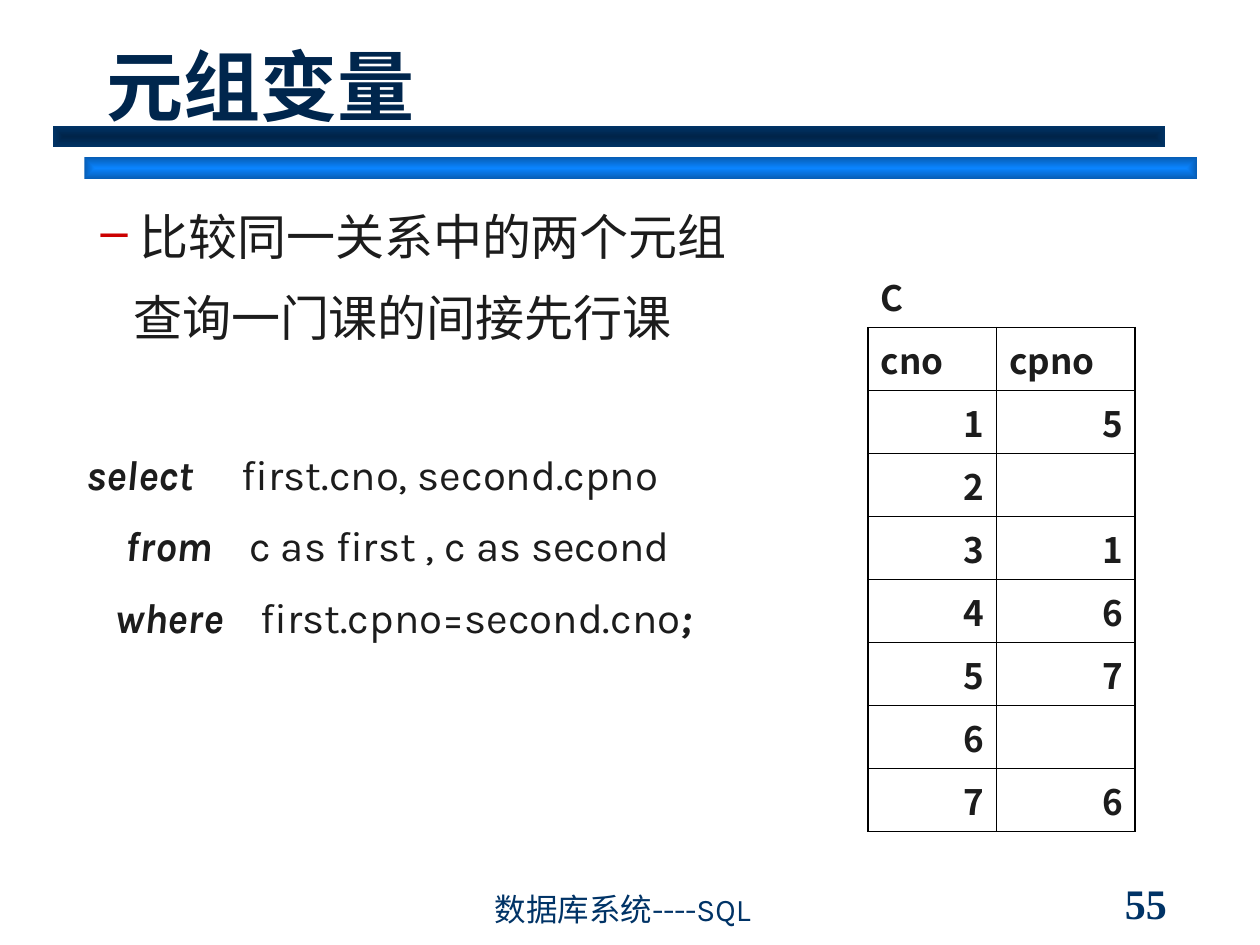
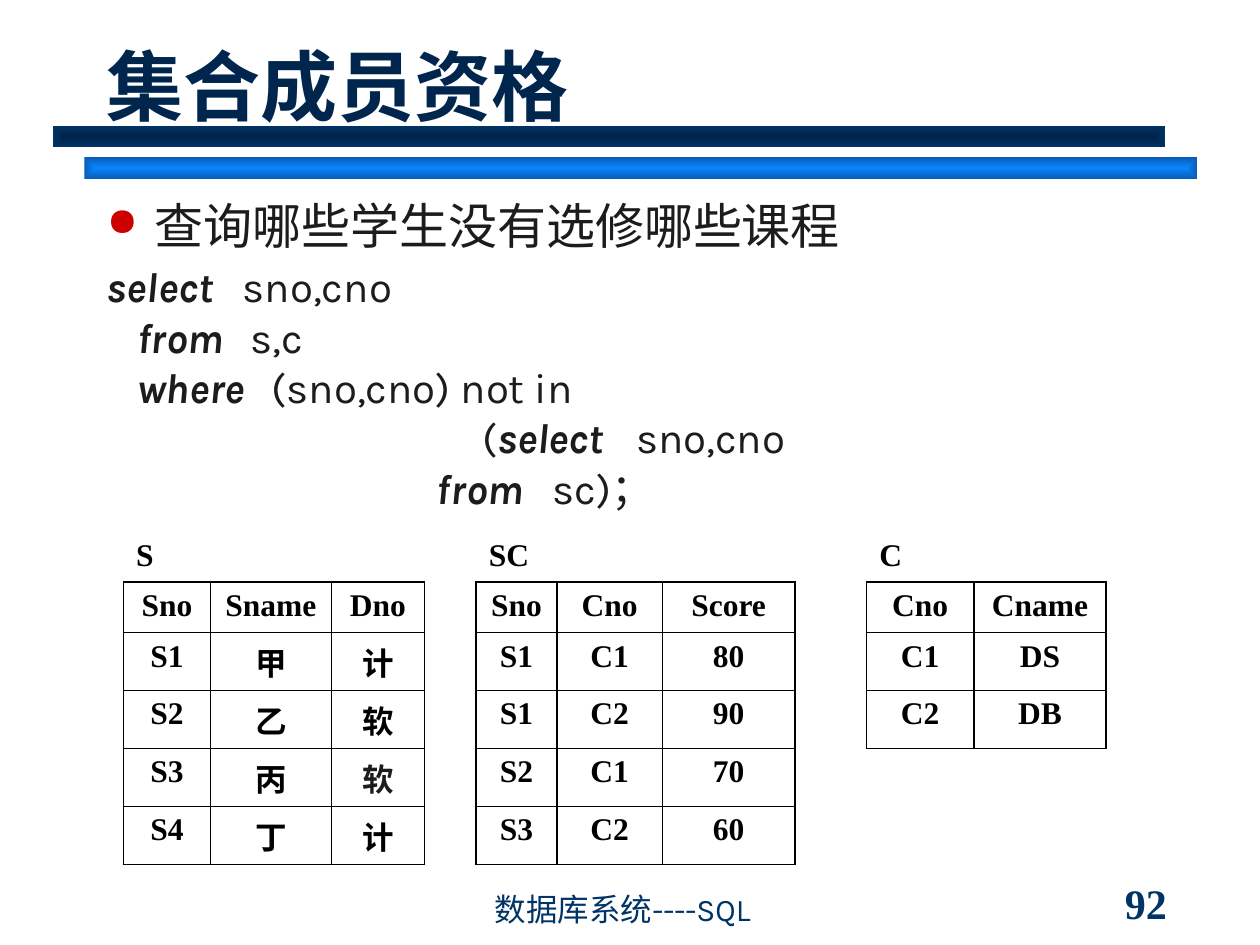
from lxml.etree import SubElement
from pptx import Presentation
from pptx.dml.color import RGBColor
from pptx.enum.shapes import MSO_SHAPE
from pptx.enum.text import MSO_ANCHOR, PP_ALIGN
from pptx.oxml.ns import qn
from pptx.util import Inches, Pt

# Shared colours and fonts
NAVY = RGBColor(0x00, 0x33, 0x66)
TITLE_NAVY = RGBColor(0x00, 0x26, 0x4D)
DEEP_NAVY = RGBColor(0x00, 0x24, 0x49)
BRIGHT_BLUE = RGBColor(0x0A, 0x84, 0xFF)
MID_BLUE = RGBColor(0x07, 0x5E, 0xB6)
INK = RGBColor(0x1C, 0x1C, 0x1C)
BLACK = RGBColor(0, 0, 0)
BULLET_RED = "CC0000"
KARLA = "Karla"
NOTO = "Noto Sans CJK SC"
TIMES = "Times New Roman"


def add_run(paragraph, text, size, color, font=KARLA, east_asian=None,
            bold=False, italic=False):
    run = paragraph.add_run()
    run.text = text
    style = run.font
    style.size, style.name = Pt(size), font
    style.bold, style.italic = bold, italic
    style.color.rgb = color
    SubElement(run.font._element, qn("a:ea"), typeface=east_asian or font)


def add_text_frame(slide, left, top, width, height, anchor=MSO_ANCHOR.TOP):
    box = slide.shapes.add_textbox(Inches(left), Inches(top),
                                   Inches(width), Inches(height))
    frame = box.text_frame
    frame.word_wrap = True
    frame.vertical_anchor = anchor
    return frame


def next_paragraph(frame, space_before=0):
    """Return the empty first paragraph, or a new one set off by a gap."""
    first = frame.paragraphs[0]
    if not first.runs:
        return first
    paragraph = frame.add_paragraph()
    paragraph.space_before = Pt(space_before)
    return paragraph


def set_indent(paragraph, first_line, rest):
    properties = paragraph._p.get_or_add_pPr()
    properties.set("marL", str(Inches(rest)))
    properties.set("indent", str(Inches(first_line) - Inches(rest)))
    return properties


def add_bullet(paragraph, symbol, first_line, rest, percent=100):
    properties = set_indent(paragraph, first_line, rest)
    color = SubElement(properties, qn("a:buClr"))
    SubElement(color, qn("a:srgbClr"), val=BULLET_RED)
    SubElement(properties, qn("a:buSzPct"), val=str(percent * 1000))
    SubElement(properties, qn("a:buChar"), char=symbol)


# Slide frame: bands, title, footer, page number
def add_band(slide, left, top, center_color, edge_color):
    band = slide.shapes.add_shape(MSO_SHAPE.RECTANGLE, Inches(left), Inches(top),
                                  Inches(8.83), Inches(0.17))
    band.shadow.inherit = False
    band.line.fill.background()
    band.fill.gradient()
    for stop, color in zip(band.fill.gradient_stops, (center_color, edge_color)):
        stop.color.rgb = color
    gradient = band._element.spPr.find(qn("a:gradFill"))
    gradient.remove(gradient.find(qn("a:lin")))
    path = SubElement(gradient, qn("a:path"), path="shape")
    SubElement(path, qn("a:fillToRect"), dict.fromkeys("ltrb", "50000"))


def add_slide(deck, title, page_number):
    slide = deck.slides.add_slide(deck.slide_layouts[6])
    add_band(slide, 0.67, 1.25, BRIGHT_BLUE, MID_BLUE)
    add_band(slide, 0.42, 1, DEEP_NAVY, NAVY)
    page = add_text_frame(slide, 8.83, 7, 1.08, 0.33, MSO_ANCHOR.MIDDLE)
    add_run(page.paragraphs[0], page_number, 24, NAVY, TIMES, bold=True)
    footer = add_text_frame(slide, 3.83, 7.08, 4.08, 0.33, MSO_ANCHOR.BOTTOM)
    add_run(footer.paragraphs[0], "数据库系统----SQL", 18, NAVY)
    heading = add_text_frame(slide, 0.75, 0.17, 8.5, 0.92, MSO_ANCHOR.BOTTOM)
    add_run(heading.paragraphs[0], title, 44, TITLE_NAVY, bold=True)
    return slide


def add_query(frame, lines, space_before=0):
    """Each line: keyword position, clause position, then (text, is_keyword) parts."""
    for keyword_at, clause_at, *parts in lines:
        paragraph = next_paragraph(frame, space_before)
        set_indent(paragraph, keyword_at, clause_at)
        for text, is_keyword in parts:
            add_run(paragraph, text, 24, INK, bold=is_keyword, italic=is_keyword)


# Relations: row 0 holds captions, None marks a cell outside every grid
def set_borders(cell, drawn_sides):
    properties = cell._tc.get_or_add_tcPr()
    for side in "LRTB":
        line = SubElement(properties, qn(f"a:ln{side}"), w=str(Pt(1)))
        if side in drawn_sides:
            fill = SubElement(line, qn("a:solidFill"))
            SubElement(fill, qn("a:srgbClr"), val=str(BLACK))
        else:
            SubElement(line, qn("a:noFill"))
    cell.fill.background()


def add_relations(slide, left, top, widths, heights, rows, anchor,
                  header_align, value_align, text_style, ink_cells=()):
    frame = slide.shapes.add_table(len(rows), len(widths), Inches(left), Inches(top),
                                   Inches(sum(widths)), Inches(sum(heights)))
    table = frame.table
    table.first_row = table.horz_banding = False
    for column, width in zip(table.columns, widths):
        column.width = Inches(width)
    for row, height in zip(table.rows, heights):
        row.height = Inches(height)

    def in_grid(r, c):
        return (1 <= r < len(rows) and 0 <= c < len(widths)
                and rows[r][c] is not None)

    for r, values in enumerate(rows):
        for c, value in enumerate(values):
            cell = table.cell(r, c)
            neighbours = {"L": (r, c - 1), "R": (r, c + 1),
                          "T": (r - 1, c), "B": (r + 1, c)}
            set_borders(cell, [side for side, place in neighbours.items()
                               if in_grid(r, c) or in_grid(*place)])
            cell.vertical_anchor = anchor
            if value:
                paragraph = cell.text_frame.paragraphs[0]
                paragraph.alignment = (PP_ALIGN.LEFT, header_align,
                                       value_align)[min(r, 2)]
                style = dict(text_style)
                if (r, c) in ink_cells:
                    style["color"] = INK
                add_run(paragraph, value, bold=True, **style)


def build_tuple_variables(deck):
    slide = add_slide(deck, "元组变量", "55")
    body = add_text_frame(slide, 0.2, 1.5, 6.3, 1.31)
    for text in ("比较同一关系中的两个元组", "查询一门课的间接先行课"):
        paragraph = next_paragraph(body, 5.6)
        paragraph.line_spacing = 1.2
        add_run(paragraph, text, 28, INK)
    add_bullet(body.paragraphs[0], "–", 0.5, 0.81)
    set_indent(body.paragraphs[1], 0.76, 0.76)

    courses = [["C", None], ["cno", "cpno"], ["1", "5"], ["2", ""], ["3", "1"],
               ["4", "6"], ["5", "7"], ["6", ""], ["7", "6"]]
    add_relations(slide, 6.89, 2.1, [1.02, 1.1], [0.5] * len(courses), courses,
                  MSO_ANCHOR.BOTTOM, PP_ALIGN.LEFT, PP_ALIGN.RIGHT,
                  {"size": 20, "color": INK, "font": NOTO})

    query = add_text_frame(slide, 0.09, 3.51, 5.87, 1.72)
    add_query(query, [
        (0.5, 1.73, ("select\t", True), ("first.cno, second.cpno", False)),
        (0.81, 1.79, ("from\t", True), ("c as first , c as second", False)),
        (0.73, 1.88, ("where\t", True), ("first.cpno=second.cno", False), (";", True)),
    ], space_before=12)


def build_set_membership(deck):
    slide = add_slide(deck, "集合成员资格", "92")
    body = add_text_frame(slide, 0.75, 1.5, 7.79, 0.6)
    question = body.paragraphs[0]
    add_bullet(question, "●", 0, 0.38, percent=80)
    add_run(question, "查询哪些学生没有选修哪些课程", 28, INK)

    gap = None
    relations = [
        ["S", None, None, gap, "SC", None, None, gap, "C", None],
        ["Sno", "Sname", "Dno", gap, "Sno", "Cno", "Score", gap, "Cno", "Cname"],
        ["S1", "甲", "计", gap, "S1", "C1", "80", gap, "C1", "DS"],
        ["S2", "乙", "软", gap, "S1", "C2", "90", gap, "C2", "DB"],
        ["S3", "丙", "软", gap, "S2", "C1", "70", gap, None, None],
        ["S4", "丁", "计", gap, "S3", "C2", "60", gap, None, None],
    ]
    widths = [0.69, 0.96, 0.74, 0.41, 0.64, 0.84, 1.05, 0.57, 0.85, 1.05]
    add_relations(slide, 0.98, 4.22, widths, [0.39, 0.4] + [0.46] * 4, relations,
                  MSO_ANCHOR.TOP, PP_ALIGN.CENTER, PP_ALIGN.CENTER,
                  {"size": 18, "color": BLACK, "font": TIMES, "east_asian": NOTO},
                  ink_cells=[(4, 2)])

    query = add_text_frame(slide, 0.75, 2.02, 8.06, 2.12)
    add_query(query, [
        (0, 1.08, ("select\t", True), ("sno,cno", False)),
        (0.24, 1.14, ("from\t", True), ("s,c", False)),
        (0.24, 1.31, ("where\t", True), ("(sno,cno) not in", False)),
        (2.98, 4.2, ("(", False), ("select\t", True), ("sno,cno", False)),
        (2.62, 3.54, ("from\t", True), ("sc)；", False)),
    ])


def main():
    deck = Presentation()
    deck.slide_width, deck.slide_height = Inches(10), Inches(7.5)
    build_tuple_variables(deck)
    build_set_membership(deck)
    deck.save("out.pptx")


if __name__ == "__main__":
    main()
